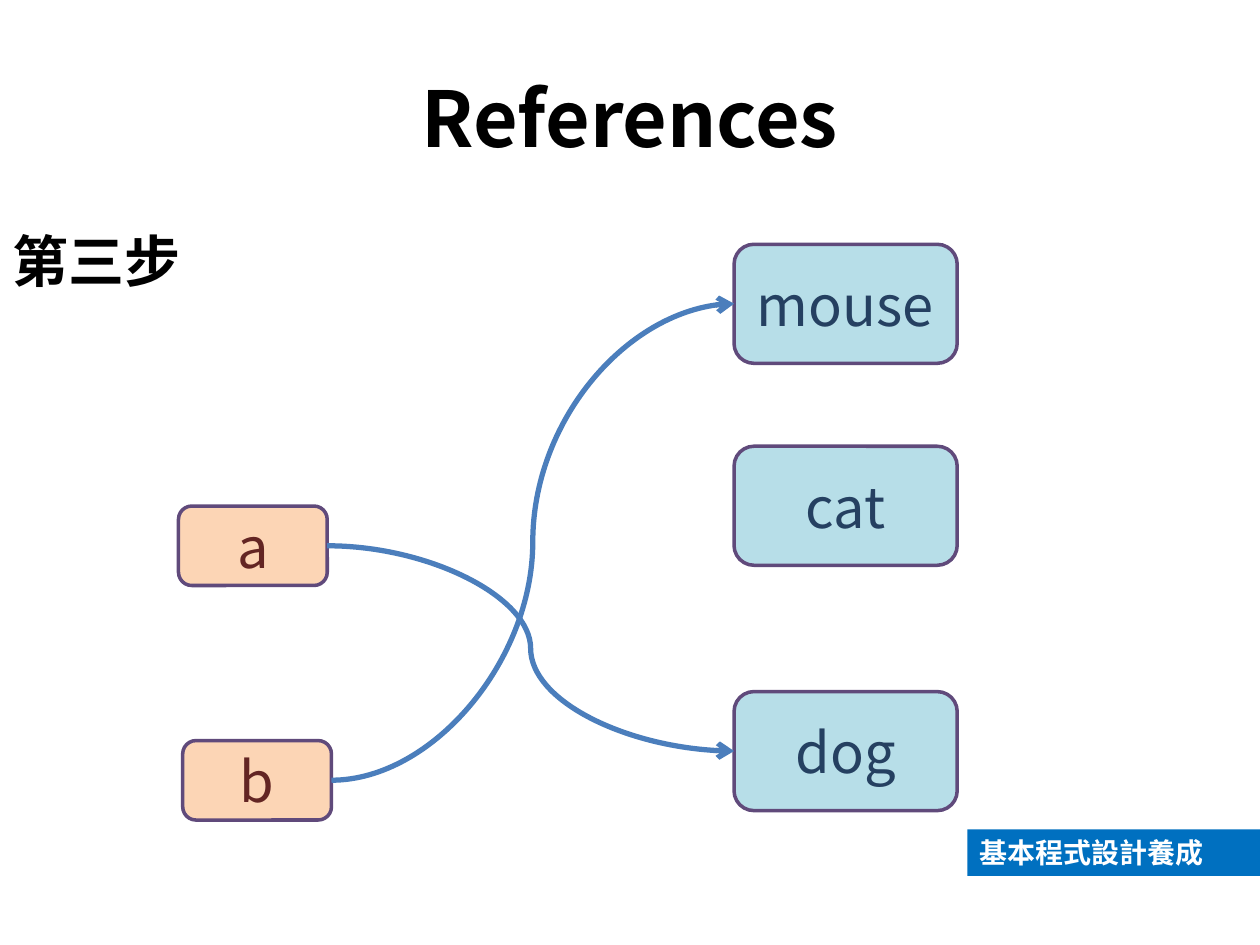
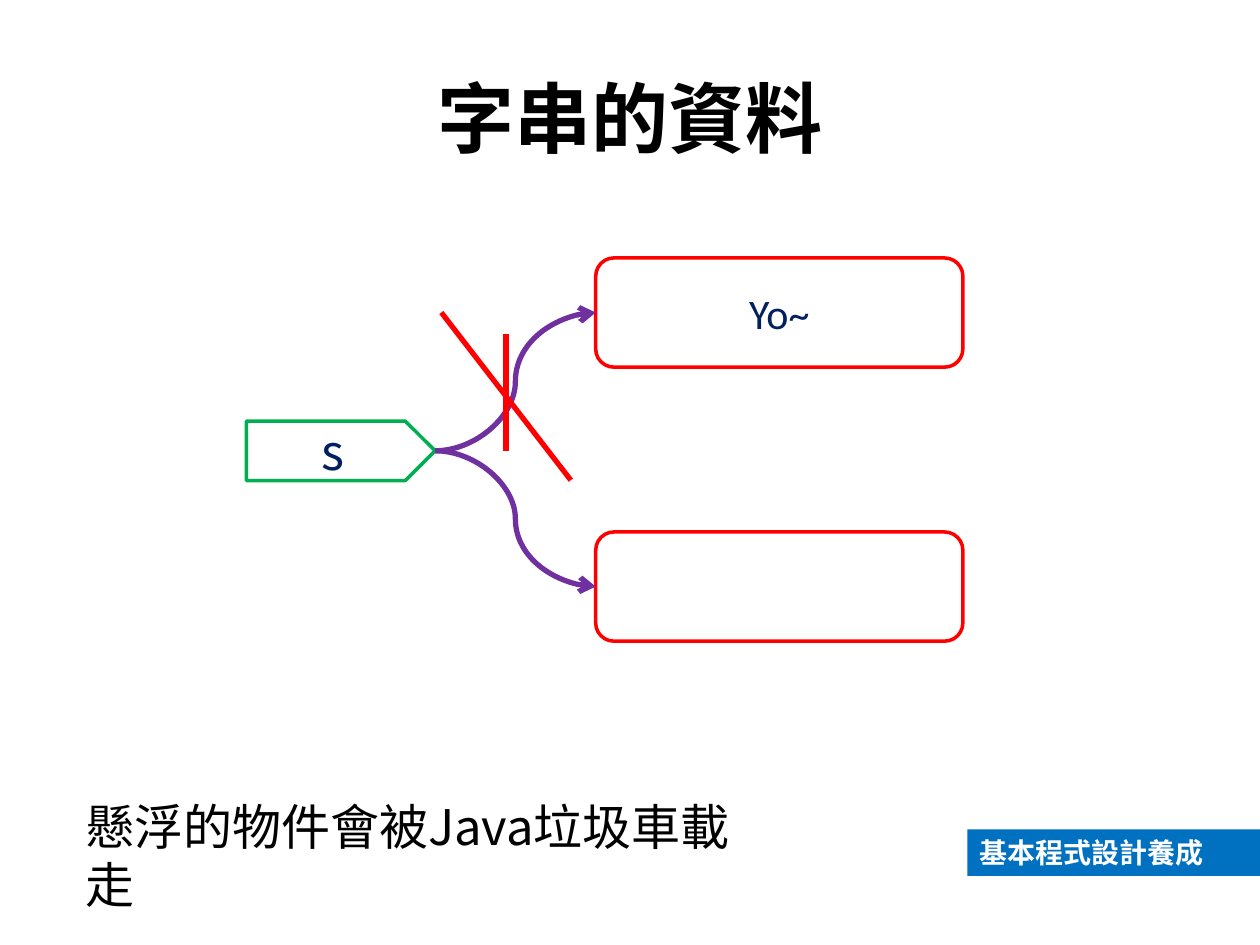
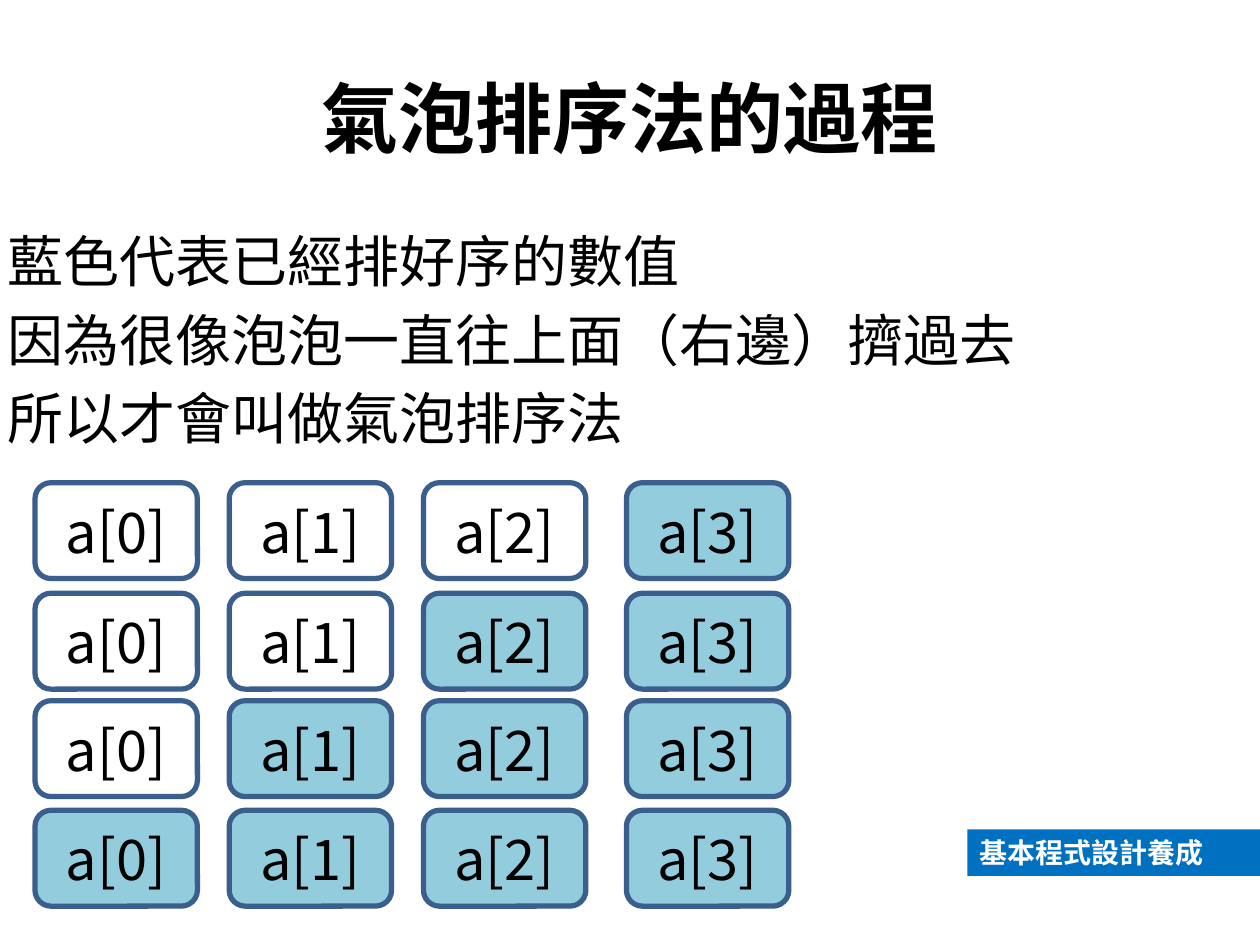
import dataclasses

import lxml.etree
import pptx
import pptx.dml.color
import pptx.enum.shapes
import pptx.enum.text
import pptx.oxml.ns
import pptx.util

Pt = pptx.util.Pt
Shape = pptx.enum.shapes.MSO_SHAPE
Connector = pptx.enum.shapes.MSO_CONNECTOR
Align = pptx.enum.text.PP_ALIGN
Anchor = pptx.enum.text.MSO_ANCHOR
qn = pptx.oxml.ns.qn
LEFT_SIDE, RIGHT_SIDE = 1, 3


@dataclasses.dataclass(frozen=True)
class Theme:
    font: str = "Noto Sans CJK SC"
    latin_font: str = "Calibri"
    black: str = "000000"
    white: str = "FFFFFF"
    band: str = "0070C0"
    variable_fill: str = "FCD5B5"
    variable_text: str = "632523"
    object_fill: str = "B7DEE8"
    object_text: str = "254061"
    diagram_line: str = "604A7B"
    reference_arrow: str = "4B7EBC"
    string_text: str = "002060"
    string_arrow: str = "7030A0"
    green: str = "00B050"
    red: str = "FF0000"
    sorted_fill: str = "93CDDD"
    cell_line: str = "3A5F8C"
    title_size: int = 44
    body_size: int = 32
    note_size: int = 28
    value_size: int = 24
    band_size: int = 16
    outline: int = 2
    stroke: int = 3


THEME = Theme()


def rgb(color):
    return pptx.dml.color.RGBColor.from_string(color)


def write(box, text, size=THEME.body_size, color=THEME.black, bold=False,
          font=THEME.font, align=Align.LEFT, anchor=Anchor.TOP, space=0):
    frame = box.text_frame
    frame.word_wrap = True
    frame.vertical_anchor = anchor
    for index, line in enumerate(text.split("\n")):
        para = frame.add_paragraph() if index else frame.paragraphs[0]
        para.alignment = align
        para.space_before = Pt(space if index else 0)
        span = para.add_run()
        span.text = line
        span.font.size = Pt(size)
        span.font.bold = bold
        span.font.name = font
        span.font.color.rgb = rgb(color)
        properties = span._r.get_or_add_rPr()
        lxml.etree.SubElement(properties, qn("a:ea")).set("typeface", font)


def add_text(page, text, left, top, width, height, **style):
    box = page.shapes.add_textbox(Pt(left), Pt(top), Pt(width), Pt(height))
    write(box, text, **style)


def add_box(page, kind, left, top, width, height, text="", fill=None, line=None,
            line_width=THEME.outline, align=Align.CENTER, **style):
    box = page.shapes.add_shape(kind, Pt(left), Pt(top), Pt(width), Pt(height))
    box.shadow.inherit = False
    if fill:
        box.fill.solid()
        box.fill.fore_color.rgb = rgb(fill)
    else:
        box.fill.background()
    if line:
        box.line.color.rgb = rgb(line)
        box.line.width = Pt(line_width)
    else:
        box.line.fill.background()
    if text:
        write(box, text, align=align, anchor=Anchor.MIDDLE, **style)
    return box


def add_line(page, color, kind=Connector.STRAIGHT, start=(0, 0), end=(0, 0)):
    line = page.shapes.add_connector(kind, *map(Pt, start + end))
    line.line.color.rgb = rgb(color)
    line.line.width = Pt(THEME.stroke)
    lxml.etree.SubElement(line._element.spPr, qn("a:effectLst"))
    return line


def add_curved_arrow(page, source, target, color):
    arrow = add_line(page, color, Connector.CURVE)
    arrow.begin_connect(source, RIGHT_SIDE)
    arrow.end_connect(target, LEFT_SIDE)
    outline = arrow.line._get_or_add_ln()
    lxml.etree.SubElement(outline, qn("a:tailEnd")).set("type", "arrow")


def add_page(deck, title):
    page = deck.slides.add_slide(deck.slide_layouts[5])
    box = page.shapes.title
    box.left, box.top, box.width, box.height = map(Pt, (36, 21.6, 648, 90))
    write(box, title, size=THEME.title_size, bold=True,
          align=Align.CENTER, anchor=Anchor.MIDDLE)
    add_box(page, Shape.RECTANGLE, 552.8, 474, 170, 26.6, "基本程式設計養成",
            fill=THEME.band, align=Align.LEFT, size=THEME.band_size,
            color=THEME.white, bold=True)
    return page


def add_variable(page, name, left, top):
    return add_box(page, Shape.ROUNDED_RECTANGLE, left, top, 85, 45.4, name,
                   fill=THEME.variable_fill, line=THEME.diagram_line,
                   color=THEME.variable_text)


def add_object(page, name, top):
    return add_box(page, Shape.ROUNDED_RECTANGLE, 419.5, top, 127.5, 68, name,
                   fill=THEME.object_fill, line=THEME.diagram_line,
                   color=THEME.object_text)


def add_string(page, value, top):
    return add_box(page, Shape.ROUNDED_RECTANGLE, 340.4, top, 209.8, 62.4, value,
                   line=THEME.red, size=THEME.value_size,
                   color=THEME.string_text, font=THEME.latin_font)


def add_references_page(deck):
    page = add_page(deck, "References")
    add_text(page, "第三步", 0, 126, 720, 414, bold=True)
    first = add_variable(page, "a", 102, 289.2)
    second = add_variable(page, "b", 104.4, 423.2)
    mouse = add_object(page, "mouse", 139.6)
    add_object(page, "cat", 255)
    dog = add_object(page, "dog", 395.2)
    add_curved_arrow(page, first, dog, THEME.reference_arrow)
    add_curved_arrow(page, second, mouse, THEME.reference_arrow)


def add_string_page(deck):
    page = add_page(deck, "字串的資料")
    variable = add_box(page, Shape.PENTAGON, 140.8, 240.6, 107.8, 34, "s",
                       line=THEME.green, size=THEME.note_size,
                       color=THEME.string_text)
    old_string = add_string(page, "Yo~", 147.4)
    new_string = add_string(page, "", 304)
    add_curved_arrow(page, variable, old_string, THEME.string_arrow)
    add_line(page, THEME.red, start=(252.2, 178.6), end=(326.2, 274.4))
    add_line(page, THEME.red, start=(289.2, 190.8), end=(289.2, 257.6))
    add_curved_arrow(page, variable, new_string, THEME.string_arrow)
    add_text(page, "懸浮的物件會被Java垃圾車載走", 41.8, 451.4, 409, 74,
             size=THEME.note_size)


def add_bubble_sort_page(deck):
    page = add_page(deck, "氣泡排序法的過程")
    add_text(page, "藍色代表已經排好序的數值\n"
                   "因為很像泡泡一直往上面（右邊）擠過去\n"
                   "所以才會叫做氣泡排序法", -3, 126, 720, 414, space=6.4)
    lefts = (20, 131, 242, 358)
    tops = (275.8, 339, 400.4, 463)
    for sorted_count, top in enumerate(tops, 1):
        for index, left in enumerate(lefts):
            is_sorted = index >= len(lefts) - sorted_count
            add_box(page, Shape.ROUNDED_RECTANGLE, left, top, 92.8, 54.8,
                    f"a[{index}]", fill=THEME.sorted_fill if is_sorted else None,
                    line=THEME.cell_line, line_width=THEME.stroke)


def main():
    deck = pptx.Presentation()
    deck.slide_width, deck.slide_height = Pt(720), Pt(540)
    add_references_page(deck)
    add_string_page(deck)
    add_bubble_sort_page(deck)
    deck.save("out.pptx")


if __name__ == "__main__":
    main()
